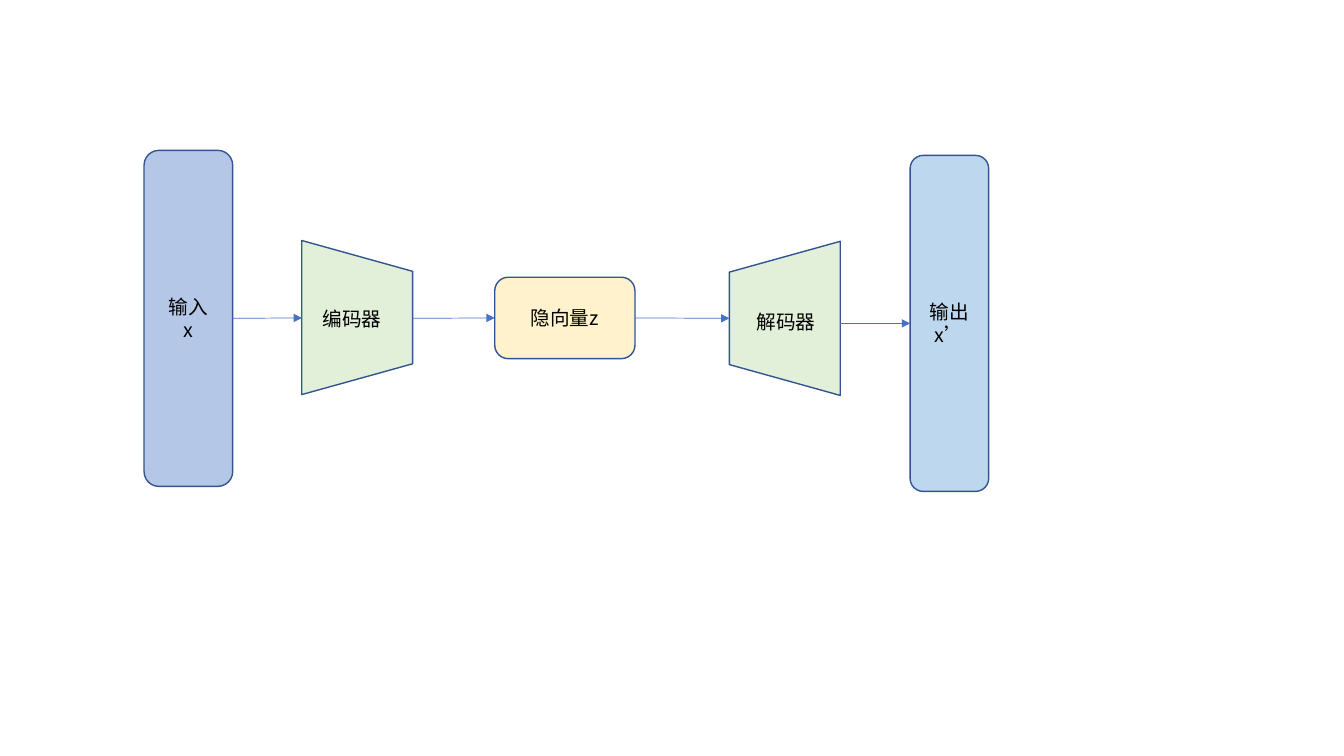
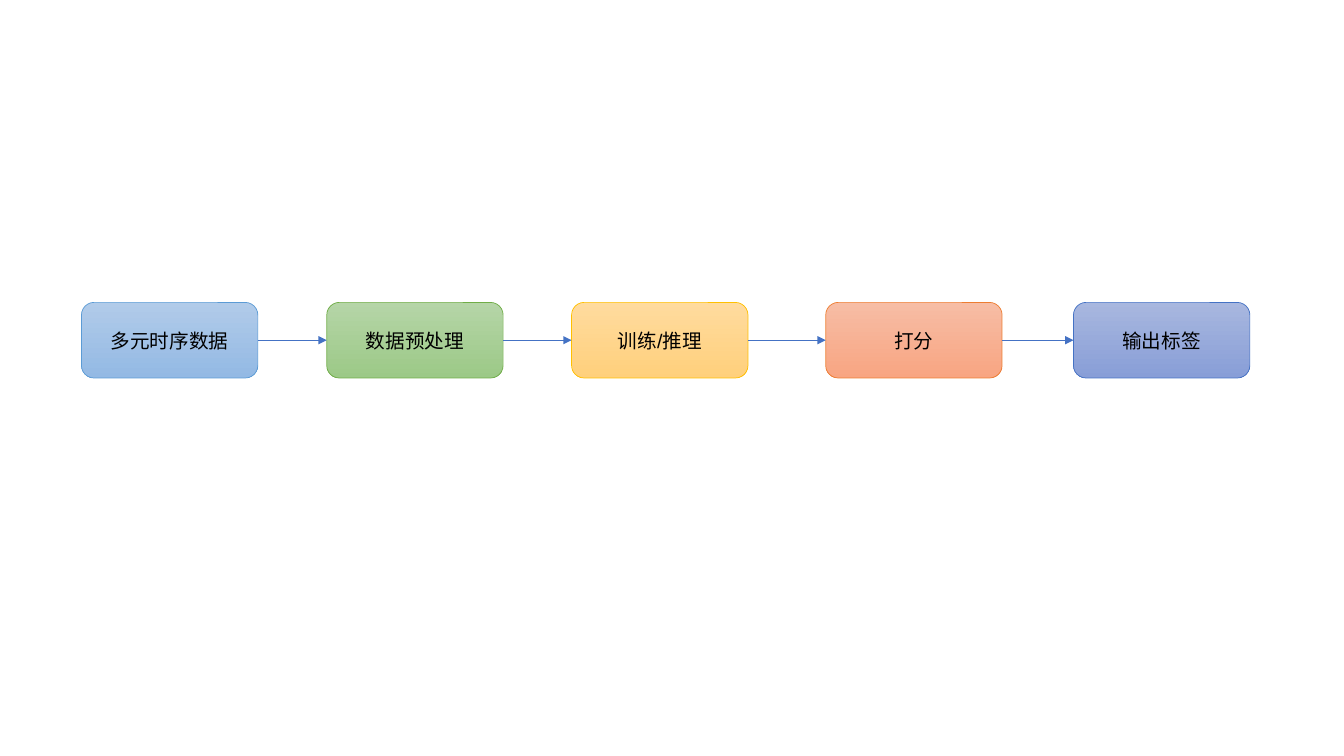
"""Build two flow diagrams: an autoencoder and a time series scoring pipeline."""
import lxml.etree
import pptx
import pptx.dml.color
import pptx.enum.lang
import pptx.enum.shapes
import pptx.enum.text
import pptx.oxml.ns
import pptx.shapes.autoshape
import pptx.util


class Theme:
    cjk = "Noto Sans CJK SC"
    latin = "Arial"
    size = 14
    text = "000000"
    outline = "325491"
    arrow = "4472C4"
    thick = 1
    thin = 0.5
    input = "B4C7E7"
    coder = "E2F0D9"
    latent = "FFF2CC"
    output = "BDD7EE"


rgb = pptx.dml.color.RGBColor.from_string
qn = pptx.oxml.ns.qn
shapes = pptx.enum.shapes.MSO_SHAPE
align = pptx.enum.text.PP_ALIGN

presentation = pptx.Presentation()
presentation.slide_width = pptx.util.Inches(13.33)
presentation.slide_height = pptx.util.Inches(7.5)
column = presentation.slide_width / 32
row = presentation.slide_height / 18


def write(shape, text, font, alignment):
    shape.text_frame.word_wrap = True
    paragraph = shape.text_frame.paragraphs[0]
    paragraph.text = text
    paragraph.alignment = alignment
    paragraph.font.name = font
    paragraph.font.size = pptx.util.Pt(Theme.size)
    paragraph.font.color.rgb = rgb(Theme.text)
    paragraph.font.language_id = pptx.enum.lang.MSO_LANGUAGE_ID.SIMPLIFIED_CHINESE
    properties = paragraph._p.pPr.find(qn("a:defRPr"))
    lxml.etree.SubElement(properties, qn("a:ea"), typeface=Theme.cjk)


def add_node(slide, kind, left, top, width, height, fills, line, weight):
    shape = slide.shapes.add_shape(
        kind, int(left * column), int(top * row), int(width * column), int(height * row))
    shape.shadow.inherit = False
    shape.line.color.rgb = rgb(line)
    shape.line.width = pptx.util.Pt(weight)
    if len(fills) == 1:
        shape.fill.solid()
        shape.fill.fore_color.rgb = rgb(fills[0])
    else:
        shape.fill.gradient()
        shape.fill.gradient_angle = 270
        for stop, colour in zip(shape.fill.gradient_stops, fills):
            stop.color.rgb = rgb(colour)
    return shape


blank = presentation.slide_layouts[6]
autoencoder = presentation.slides.add_slide(blank)
pipeline = presentation.slides.add_slide(blank)

vectors = []
for text, left, top, width, height, fill in [
    ("输入\nx", 3.43, 3.58, 2.11, 8, Theme.input),
    ("隐向量z", 11.78, 6.6, 3.34, 1.94, Theme.latent),
    ("输出\nx’", 21.67, 3.7, 1.87, 8, Theme.output),
]:
    vector = add_node(autoencoder, shapes.ROUNDED_RECTANGLE, left, top, width, height,
                      [fill], Theme.outline, Theme.thick)
    write(vector, text, Theme.cjk, align.CENTER)
    vectors.append(vector)

for text, left, top, rotation, text_left, text_top in [
    ("编码器", 6.67, 6.24, 270, 7.44, 7.18),
    ("解码器", 16.85, 6.26, 90, 17.78, 7.27),
]:
    coder = add_node(autoencoder, shapes.FLOWCHART_MANUAL_OPERATION, left, top, 3.67, 2.64,
                     [Theme.coder], Theme.outline, Theme.thick)
    coder.rotation = rotation
    label = autoencoder.shapes.add_textbox(
        int(text_left * column), int(text_top * row), int(2.88 * column), int(0.82 * row))
    write(label, text, Theme.cjk, align.LEFT)
    label.text_frame.auto_size = pptx.enum.text.MSO_AUTO_SIZE.SHAPE_TO_FIT_TEXT

steps = []
for text, left, fills, line in [
    ("多元时序数据", 1.94, ["B1CBE9", "93B9E4"], "5B9BD5"),
    ("数据预处理", 7.78, ["B5D5A7", "9CC987"], "70AD47"),
    ("训练/推理", 13.61, ["FFDB9E", "FFD07C"], "FFC000"),
    ("打分", 19.66, ["F7BDA5", "F8A582"], "ED7D31"),
    ("输出标签", 25.56, ["A8B7DF", "889ED7"], "4472C4"),
]:
    step = add_node(pipeline, shapes.ROUNDED_RECTANGLE, left, 7.2, 4.2, 1.8,
                    fills, line, Theme.thin)
    write(step, text, Theme.latin, align.CENTER)
    steps.append(step)

source, latent, result = vectors
arrows = [
    (autoencoder, source, (7.19, 7.57)),
    (autoencoder, (9.83, 7.58), latent),
    (autoencoder, latent, (17.37, 7.58)),
    (autoencoder, (20, 7.7), result),
]
arrows += [(pipeline, start, end) for start, end in zip(steps, steps[1:])]
for slide, start, end in arrows:
    points = [(0, 0) if isinstance(node, pptx.shapes.autoshape.Shape) else node
              for node in (start, end)]
    (x1, y1), (x2, y2) = points
    connector = slide.shapes.add_connector(
        pptx.enum.shapes.MSO_CONNECTOR.STRAIGHT,
        int(x1 * column), int(y1 * row), int(x2 * column), int(y2 * row))
    if points[0] != start:
        connector.begin_connect(start, 3)
    if points[1] != end:
        connector.end_connect(end, 1)
    connector.line.color.rgb = rgb(Theme.arrow)
    connector.line.width = pptx.util.Pt(Theme.thin)
    lxml.etree.SubElement(connector.line._get_or_add_ln(), qn("a:tailEnd"), type="triangle")
    lxml.etree.SubElement(connector._element.spPr, qn("a:effectLst"))

presentation.save("out.pptx")
